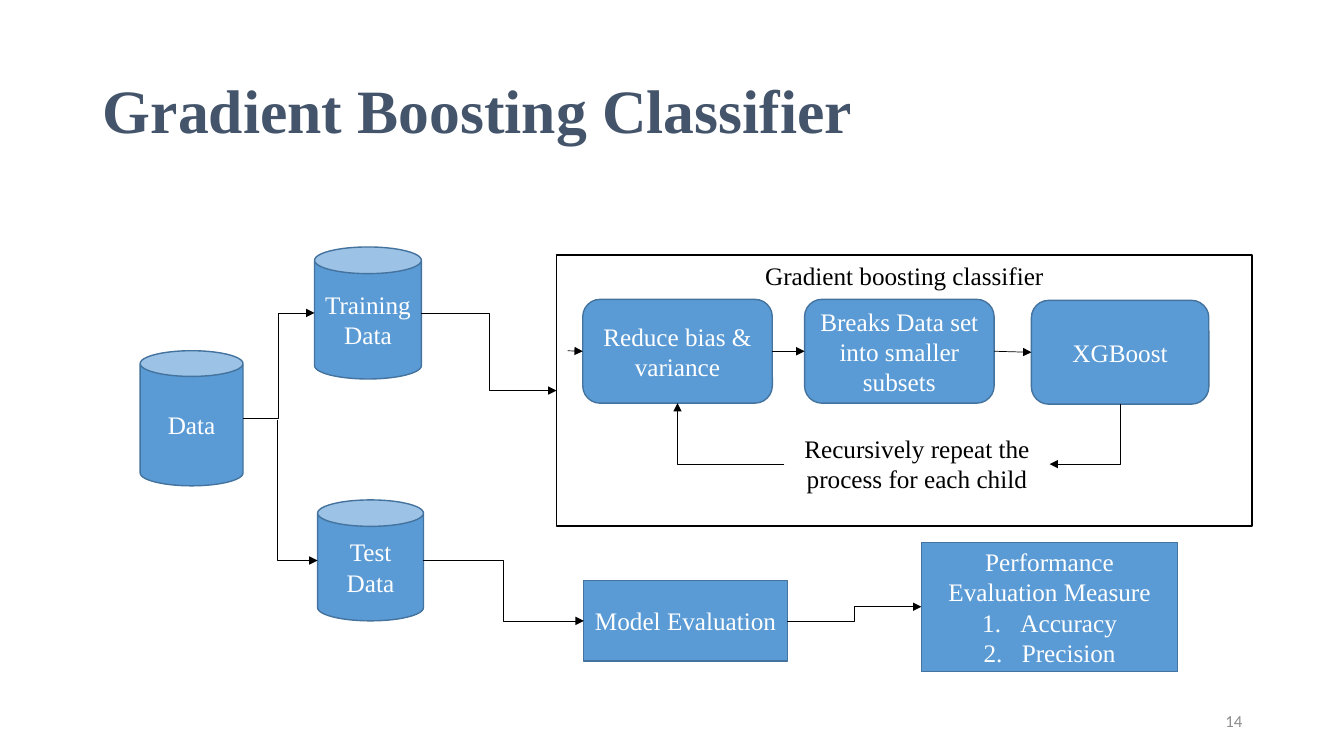
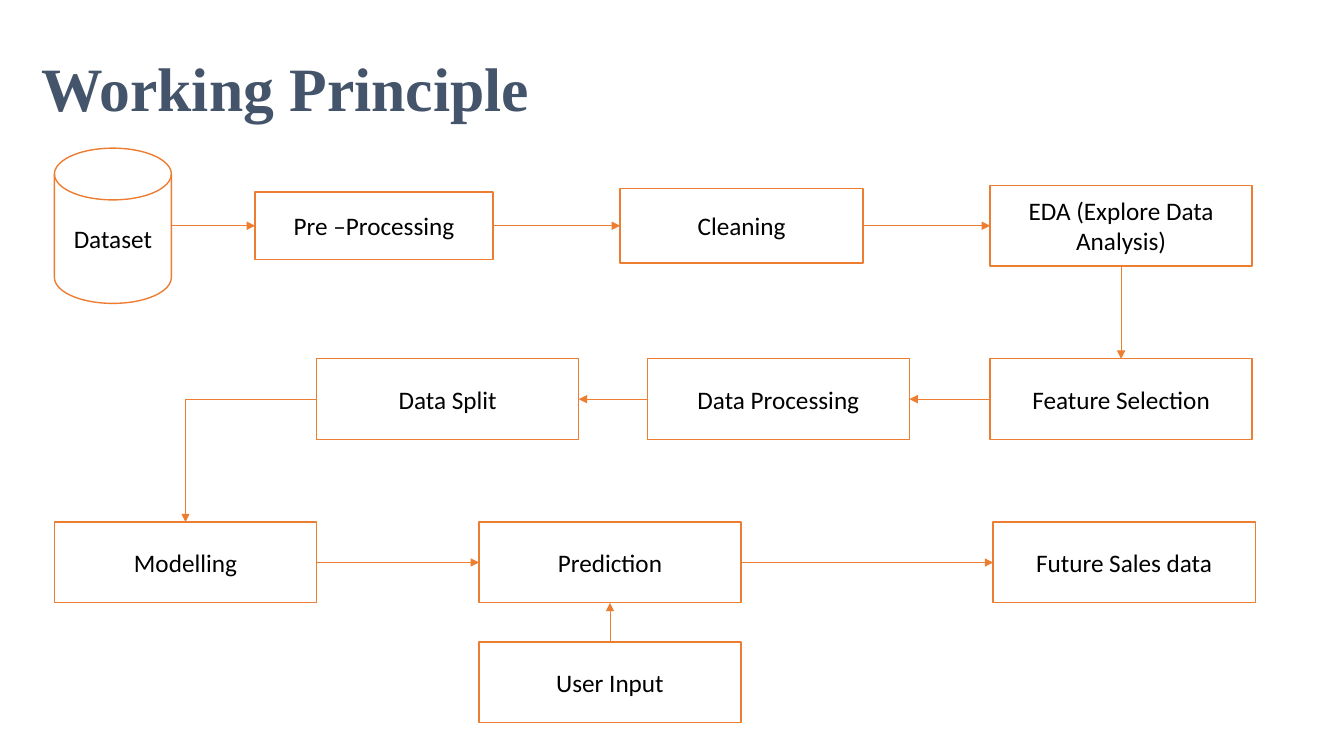
from dataclasses import dataclass
from lxml import etree
from pptx import Presentation
from pptx.dml.color import RGBColor as RGB
from pptx.enum.shapes import MSO_CONNECTOR as Conn, MSO_SHAPE as Kind
from pptx.enum.text import MSO_ANCHOR as Anchor, MSO_AUTO_SIZE as Auto, PP_ALIGN as Align
from pptx.oxml.ns import qn
from pptx.util import Inches, Pt


@dataclass(frozen=True)
class Theme:
    serif: str = "Times New Roman"
    sans: str = "Calibri"
    head: str = "44546A"
    blue: str = "5B9BD5"
    edge: str = "43739E"
    orange: str = "ED7D31"
    white: str = "FFFFFF"
    black: str = "000000"
    grey: str = "8C8C8C"
    title: int = 44
    body: int = 18
    foot: int = 12


T = Theme()

# Looks: fill, outline, text colour, font
SOLID = (T.blue, T.edge, T.white, T.serif)
PANEL = (T.white, T.black, T.black, T.serif)
PLAIN = (T.white, T.orange, T.black, T.sans)

# Connection sides
TOP, LEFT, BOTTOM, RIGHT = range(4)
CANS = (Kind.CAN, Kind.FLOWCHART_MAGNETIC_DISK)

# Slide 1: key, text, kind, left, top, width, height
BOOST = [
    ("data", "Data", Kind.CAN, 1.39, 3.48, 1.02, 1.34),
    ("train", "Training Data", Kind.CAN, 3.12, 2.45, 1.06, 1.31),
    ("test", "Test Data", Kind.CAN, 3.15, 4.96, 1.05, 1.2),
    ("panel", "Gradient boosting classifier", Kind.RECTANGLE, 5.52, 2.53, 6.9, 2.69),
    ("bias", "Reduce bias & variance", Kind.ROUNDED_RECTANGLE, 5.78, 2.97, 1.88, 1.03),
    ("break", "Breaks Data set into smaller subsets", Kind.ROUNDED_RECTANGLE,
     7.98, 2.97, 1.88, 1.03),
    ("xgb", "XGBoost", Kind.ROUNDED_RECTANGLE, 10.23, 2.98, 1.76, 1.03),
    ("model", "Model Evaluation", Kind.RECTANGLE, 5.79, 5.76, 2.02, 0.8),
    ("score", "Performance Evaluation Measure", Kind.RECTANGLE, 9.14, 5.38, 2.54, 1.28),
]
SCORES = ["Accuracy", "Precision"]
NOTE = ("Recursively repeat the process for each child", 7.78, 4.25, 2.63, 0.71)

# Links: start key or point, side, end key, side, route
BOOST_LINKS = [
    ("data", RIGHT, "train", LEFT, "step"),
    ((2.75, 4.17), None, "test", LEFT, "down"),
    ("train", RIGHT, "panel", LEFT, "step"),
    ((5.63, 3.48), None, "bias", LEFT, "line"),
    ("bias", RIGHT, "break", LEFT, "line"),
    ("break", RIGHT, "xgb", LEFT, "line"),
    ("test", RIGHT, "model", LEFT, "step"),
    ("model", RIGHT, "score", LEFT, "step"),
    ("xgb", BOTTOM, "note", RIGHT, "down"),
    ("note", LEFT, "bias", BOTTOM, "across"),
]

# Slide 2: rows by middle height; key, text, left and, where not usual, width, height
BOX = (2.6, 0.8)
ROWS = [
    (2.24, [("set", "Dataset", 0.54, 1.16, 1.54), ("prep", "Pre –Processing", 2.53, 2.36, 0.67),
            ("clean", "Cleaning", 6.15, 2.41, 0.74), ("eda", "EDA (Explore Data Analysis)", 9.82)]),
    (3.96, [("split", "Data Split", 3.14), ("proc", "Data Processing", 6.42),
            ("pick", "Feature Selection", 9.82)]),
    (5.58, [("model", "Modelling", 0.54), ("guess", "Prediction", 4.75),
            ("sales", "Future Sales data", 9.85)]),
    (6.77, [("user", "User Input", 4.75)]),
]
FLOW_LINKS = [
    ("set", RIGHT, "prep", LEFT, "line"),
    ("prep", RIGHT, "clean", LEFT, "line"),
    ("clean", RIGHT, "eda", LEFT, "line"),
    ("eda", BOTTOM, "pick", TOP, "line"),
    ("pick", LEFT, "proc", RIGHT, "line"),
    ("proc", LEFT, "split", RIGHT, "line"),
    ("split", LEFT, "model", TOP, "across"),
    ("model", RIGHT, "guess", LEFT, "line"),
    ("user", TOP, "guess", BOTTOM, "line"),
    ("guess", RIGHT, "sales", LEFT, "line"),
]


def color(code):
    return RGB.from_string(code)


def style(para, size, font, code, align, bold=False):
    para.alignment = align
    para.font.size, para.font.name, para.font.bold = Pt(size), font, bold
    para.font.color.rgb = color(code)


def start(prs, text, at):
    """Add a slide with its title."""
    slide = prs.slides.add_slide(prs.slide_layouts[5])
    head = slide.shapes.title
    head.left, head.top, head.width, head.height = map(Inches, at)
    frame = head.text_frame
    frame.text, frame.word_wrap = text, True
    frame.auto_size, frame.vertical_anchor = Auto.NONE, Anchor.MIDDLE
    para = frame.paragraphs[0]
    style(para, T.title, T.serif, T.head, Align.LEFT, True)
    para.line_spacing = 0.9
    return slide


def label(slide, text, at, size, font, code, align, anchor):
    box = slide.shapes.add_textbox(*map(Inches, at))
    frame = box.text_frame
    frame.text, frame.word_wrap, frame.vertical_anchor = text, True, anchor
    style(frame.paragraphs[0], size, font, code, align)
    return box


def block(slide, text, kind, at, look):
    fill, edge, ink, font = look
    shape = slide.shapes.add_shape(kind, *map(Inches, at))
    shape.shadow.inherit = False
    shape.fill.solid()
    shape.fill.fore_color.rgb = color(fill)
    shape.line.color.rgb, shape.line.width = color(edge), Pt(1)
    frame = shape.text_frame
    frame.text, frame.word_wrap = text, True
    frame.vertical_anchor = Anchor.TOP if look is PANEL else Anchor.MIDDLE
    style(frame.paragraphs[0], T.body, font, ink, Align.CENTER)
    return shape


def number(frame, items, look):
    """Add a numbered list below the text."""
    for item in items:
        para = frame.add_paragraph()
        para.text = item
        style(para, T.body, look[3], look[2], Align.CENTER)
        props = para._p.get_or_add_pPr()
        props.set("marL", str(Inches(0.38)))
        props.set("indent", str(-Inches(0.38)))
        # The bullet stands before the default run properties
        mark = etree.Element(qn("a:buAutoNum"), type="arabicPeriod")
        props.insert(0, mark)


def site(shape, side):
    """Cans have one more connection site, ahead of the four sides."""
    can = shape.shape_type == 1 and shape.auto_shape_type in CANS
    return side + 1 if can else side


def turn(line):
    """Route a corner down first, then sideways."""
    frame = line._element.spPr.find(qn("a:xfrm"))
    right = line.end_x > line.begin_x
    left, top, wide, high = line.left, line.top, line.width, line.height
    for flip in ("flipH", "flipV"):
        frame.attrib.pop(flip, None)
    line.left, line.top = left + (wide - high) // 2, top + (high - wide) // 2
    line.width, line.height = high, wide
    frame.set("rot", "5400000")
    if right:
        frame.set("flipV", "1")


def link(slide, parts, code, begin, out, end, into, route):
    kind = Conn.STRAIGHT if route == "line" else Conn.ELBOW
    free = out is None
    spot = map(Inches, begin if free else (0, 0))
    line = slide.shapes.add_connector(kind, *spot, 0, 0)
    ends = line._element.nvCxnSpPr.cNvCxnSpPr
    if not free:
        line.begin_connect(parts[begin], out)
        ends.stCxn.set("idx", str(site(parts[begin], out)))
    line.end_connect(parts[end], into)
    ends.endCxn.set("idx", str(site(parts[end], into)))
    props = line._element.spPr
    if route in ("across", "down"):
        props.find(qn("a:prstGeom")).set("prst", "bentConnector2")
    if route == "down":
        turn(line)
    line.line.color.rgb, line.line.width = color(code), Pt(0.5)
    etree.SubElement(props.find(qn("a:ln")), qn("a:tailEnd"), type="triangle")
    etree.SubElement(props, qn("a:effectLst"))


def boost(prs):
    slide = start(prs, "Gradient Boosting Classifier", (0.92, 0.4, 11.5, 1.45))
    label(slide, "14", (9.42, 6.95, 3, 0.4), T.foot, T.sans, T.grey, Align.RIGHT, Anchor.MIDDLE)
    parts = {}
    for key, text, kind, *at in BOOST:
        parts[key] = block(slide, text, kind, at, PANEL if key == "panel" else SOLID)
    number(parts["score"].text_frame, SCORES, SOLID)
    text, *at = NOTE
    parts["note"] = label(slide, text, at, T.body, T.serif, T.black, Align.CENTER, Anchor.TOP)
    for item in BOOST_LINKS:
        link(slide, parts, T.black, *item)


def flow(prs):
    slide = start(prs, "Working Principle", (0.31, 0.13, 13.02, 1.56))
    parts = {}
    for mid, row in ROWS:
        for key, text, left, *size in row:
            wide, high = size or BOX
            kind = Kind.FLOWCHART_MAGNETIC_DISK if key == "set" else Kind.RECTANGLE
            parts[key] = block(slide, text, kind, (left, mid - high / 2, wide, high), PLAIN)
    for item in FLOW_LINKS:
        link(slide, parts, T.orange, *item)


def main():
    prs = Presentation()
    prs.slide_width, prs.slide_height = Inches(13.33), Inches(7.5)
    boost(prs)
    flow(prs)
    prs.save("out.pptx")


if __name__ == "__main__":
    main()
